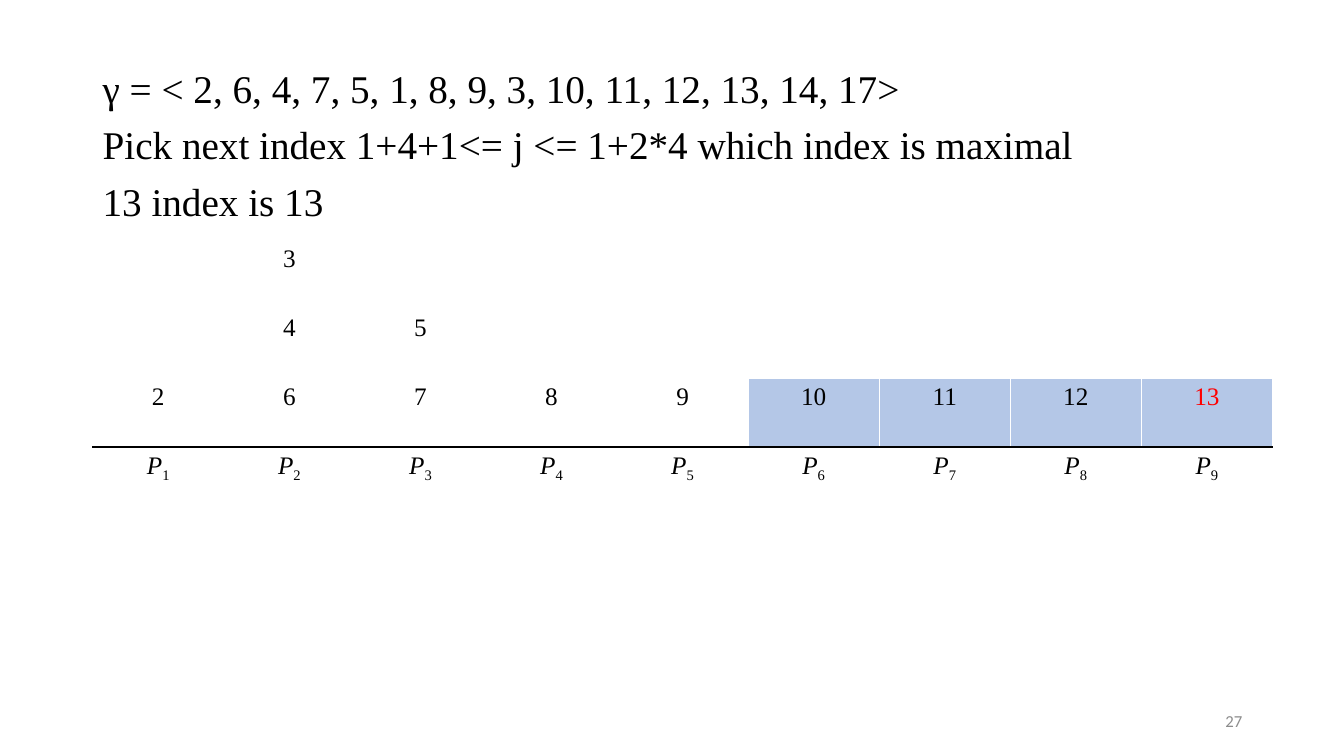
from dataclasses import dataclass

from lxml.etree import SubElement
from pptx import Presentation
from pptx.dml.color import RGBColor as RGB
from pptx.enum.text import MSO_ANCHOR as Anchor, PP_ALIGN as Align
from pptx.oxml.ns import qn
from pptx.util import Inches, Pt

STEPS = [
    "γ = < 2, 6, 4, 7, 5, 1, 8, 9, 3, 10, 11, 12, 13, 14, 17>",
    "Pick next index 1+4+1<= j <= 1+2*4 which index is maximal",
    "13 index is 13",
]
PILES = [[2], [6, 4, 3], [7, 5], [8], [9], [10], [11], [12], [13]]
SEARCH_RANGE = range(5, 9)
PICKED = 13
PAGE = "27"


@dataclass(frozen=True)
class Theme:
    serif: str = "Times New Roman"
    sans: str = "Calibri"
    black: str = "000000"
    white: str = "FFFFFF"
    blue: str = "B4C7E7"
    red: str = "FF0000"
    gray: str = "8C8C8C"
    body: int = 28
    cell: int = 18
    page: int = 12
    border: int = 1


T = Theme()


def style(font, size, color, name=T.serif):
    font.size, font.name = Pt(size), name
    font.color.rgb = RGB.from_string(color)


def add_text(slide, box, lines):
    tf = slide.shapes.add_textbox(*map(Inches, box)).text_frame
    tf.word_wrap = True
    tf.text = "\n".join(lines)
    return tf


def set_borders(cell, **colors):
    tcPr = cell._tc.get_or_add_tcPr()
    for side in "LRTB":
        ln = SubElement(tcPr, qn(f"a:ln{side}"), w=str(Pt(T.border)))
        fill = SubElement(ln, qn("a:solidFill"))
        SubElement(fill, qn("a:srgbClr"), val=colors.get(side, T.white))


def fill_cell(cell, color):
    cell.fill.solid()
    cell.fill.fore_color.rgb = RGB.from_string(color)


def add_piles(slide):
    depth = max(map(len, PILES))
    cols, col_w, row_h = len(PILES), 1.3, 0.685
    table = slide.shapes.add_table(
        depth + 1, cols, Inches(0.92), Inches(2.38),
        Inches(cols * col_w), Inches((depth + 1) * row_h),
    ).table
    table.first_row = table.horz_banding = False
    for row in table.rows:
        row.height = Inches(row_h)
    for col, pile in enumerate(PILES):
        table.columns[col].width = Inches(col_w)
        for level in range(depth):
            cell = table.cell(depth - 1 - level, col)
            bottom = level == 0
            set_borders(cell, B=T.black if bottom else T.white)
            fill_cell(cell, T.blue if bottom and col in SEARCH_RANGE else T.white)
            p = cell.text_frame.paragraphs[0]
            p.alignment = Align.CENTER
            if level < len(pile):
                p.text = str(pile[level])
                color = T.red if pile[level] == PICKED else T.black
                style(p.runs[0].font, T.cell, color)
        label = table.cell(depth, col)
        set_borders(label, T=T.black)
        fill_cell(label, T.white)
        p = label.text_frame.paragraphs[0]
        p.alignment = Align.CENTER
        for text in ("P", str(col + 1)):
            r = p.add_run()
            r.text = text
            style(r.font, T.cell, T.black)
            r.font.italic = text == "P"
        r._r.get_or_add_rPr().set("baseline", "-25000")


def main():
    prs = Presentation()
    prs.slide_width, prs.slide_height = Inches(13.33), Inches(7.5)
    s = prs.slides.add_slide(prs.slide_layouts[6])

    tf = add_text(s, (0.92, 0.64, 11.5, 6.12), STEPS)
    for i, p in enumerate(tf.paragraphs):
        p.line_spacing = 0.9
        p.space_before = Pt(10 if i else 0)
        style(p.runs[0].font, T.body, T.black)

    tf = add_text(s, (9.42, 6.95, 3, 0.4), [PAGE])
    tf.vertical_anchor = Anchor.MIDDLE
    p = tf.paragraphs[0]
    p.alignment = Align.RIGHT
    style(p.runs[0].font, T.page, T.gray, T.sans)

    add_piles(s)
    prs.save("out.pptx")


if __name__ == "__main__":
    main()
